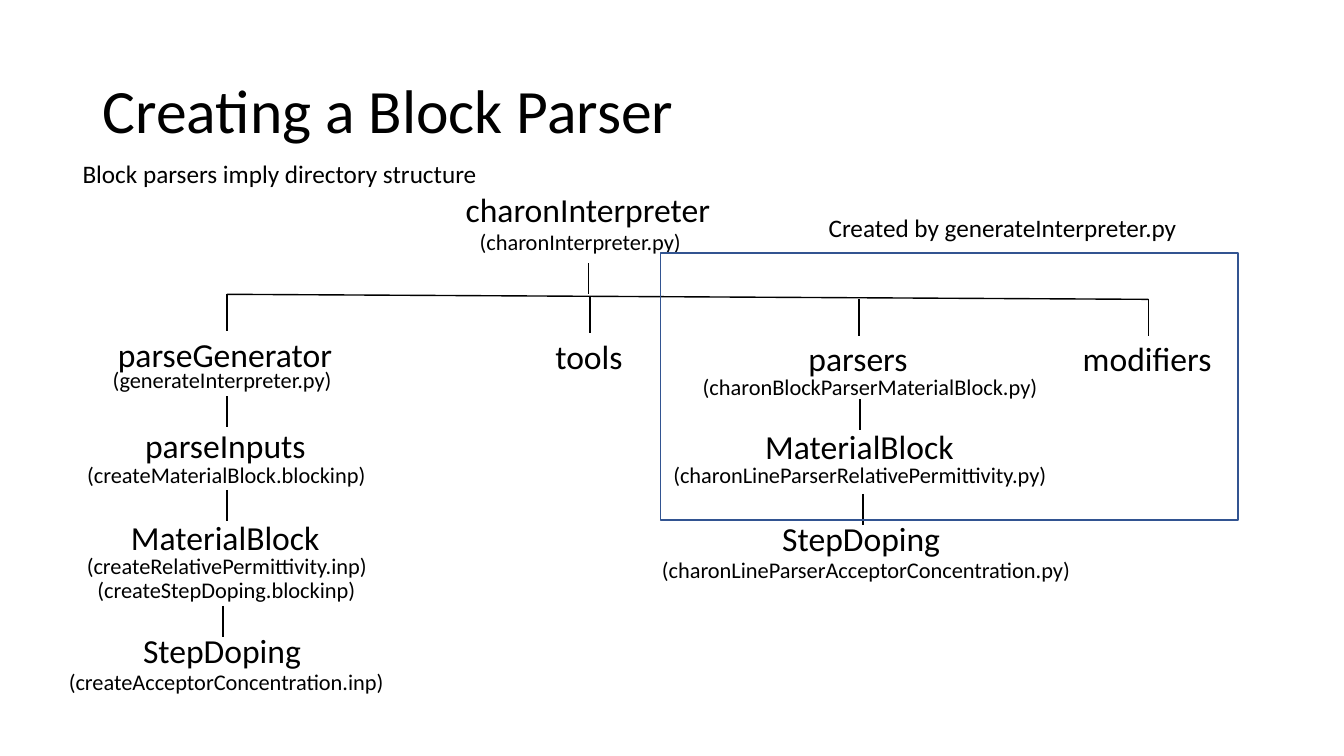
from pptx import Presentation
from pptx.dml.color import RGBColor
from pptx.enum.shapes import MSO_CONNECTOR, MSO_SHAPE
from pptx.enum.text import MSO_ANCHOR, MSO_AUTO_SIZE, PP_ALIGN
from pptx.util import Inches, Pt
from lxml import etree

STRAIGHT = MSO_CONNECTOR.STRAIGHT
RECT = MSO_SHAPE.RECTANGLE
MIDDLE = MSO_ANCHOR.MIDDLE
FIT = MSO_AUTO_SIZE.SHAPE_TO_FIT_TEXT
LEFT, CENTER = PP_ALIGN.LEFT, PP_ALIGN.CENTER

THEME = {
    "font": "Calibri",
    "ink": RGBColor(0x00, 0x00, 0x00),
    "frame": RGBColor(0x32, 0x54, 0x91),
    "title": Pt(44),
    "node": Pt(24),
    "note": Pt(18),
    "file": Pt(16),
    "line": Pt(1),
}
HEIGHTS = {"title": 1.45, "node": 0.5, "note": 0.4, "file": 0.37}

prs = Presentation()
prs.slide_width, prs.slide_height = Inches(13.33), Inches(7.5)
s = prs.slides.add_slide(prs.slide_layouts[6])


def add_label(text, left, top, width, role, align=LEFT):
    sp = s.shapes.add_textbox(Inches(left), Inches(top), Inches(width), Inches(HEIGHTS[role]))
    tf = sp.text_frame
    tf.word_wrap = role == "title"
    p = tf.paragraphs[0]
    p.alignment = align
    if role == "title":
        tf.vertical_anchor = MIDDLE
        p.line_spacing = 0.9
    else:
        tf.auto_size = FIT
    r = p.add_run()
    r.text = text
    r.font.name = THEME["font"]
    r.font.size = THEME[role]
    r.font.color.rgb = THEME["ink"]


def add_line(x1, y1, x2, y2):
    sp = s.shapes.add_connector(STRAIGHT, Inches(x1), Inches(y1), Inches(x2), Inches(y2))
    sp.line.color.rgb = THEME["ink"]
    sp.line.width = THEME["line"]
    etree.SubElement(
        sp._element.spPr, "{http://schemas.openxmlformats.org/drawingml/2006/main}effectLst")


add_label("Creating a Block Parser", 0.92, 0.4, 11.5, "title")
add_label("Block parsers imply directory structure", 0.72, 1.52, 4.15, "note")

add_line(2.25, 2.92, 11.39, 2.97)
branches = [(2.25, 2.92), (5.85, 2.94), (8.52, 2.97), (11.39, 2.97)]
for x, y in branches:
    add_line(x, y, x, y + 0.36)

links = [(5.84, 2.61), (2.25, 3.93), (2.25, 4.86), (2.21, 6.01), (8.53, 3.96), (8.56, 4.9)]
for x, y in links:
    add_line(x, y, x, y + 0.31)

directories = [
    ("charonInterpreter", 4.52, 1.83, 2.65),
    ("parseGenerator", 1.07, 3.26, 2.35),
    ("tools", 5.41, 3.28, 0.87),
    ("parsers", 7.92, 3.3, 1.19),
    ("modifiers", 10.64, 3.3, 1.49),
    ("parseInputs", 1.34, 4.17, 1.81),
    ("MaterialBlock", 1.2, 5.08, 2.09),
    ("StepDoping", 1.32, 6.2, 1.78),
    ("MaterialBlock", 7.49, 4.18, 2.09),
    ("StepDoping", 7.66, 5.09, 1.78),
]
for name, left, top, width in directories:
    add_label(name, left, top, width, "node")

files = [
    ("(charonInterpreter.py)", 4.66, 2.21, 2.23, LEFT),
    ("(generateInterpreter.py)", 1.02, 3.58, 2.4, LEFT),
    ("(createMaterialBlock.blockinp)", 0.75, 4.53, 2.99, CENTER),
    ("(createRelativePermittivity.inp)", 0.69, 5.43, 3.12, CENTER),
    ("(createStepDoping.blockinp)", 0.85, 5.67, 2.79, CENTER),
    ("(createAcceptorConcentration.inp)", 0.56, 6.58, 3.37, CENTER),
    ("(charonBlockParserMaterialBlock.py)", 6.85, 3.65, 3.56, CENTER),
    ("(charonLineParserRelativePermittivity.py)", 6.55, 4.53, 3.96, CENTER),
    ("(charonLineParserAcceptorConcentration.py)", 6.44, 5.47, 4.3, CENTER),
]
for name, left, top, width, align in files:
    add_label(name, left, top, width, "file", align)

frame = s.shapes.add_shape(RECT, Inches(6.55), Inches(2.51), Inches(5.73), Inches(2.65))
frame.shadow.inherit = False
frame.fill.background()
frame.line.color.rgb = THEME["frame"]
frame.line.width = THEME["line"]
add_label("Created by generateInterpreter.py", 8.12, 2.06, 3.69, "note")

prs.save("out.pptx")
